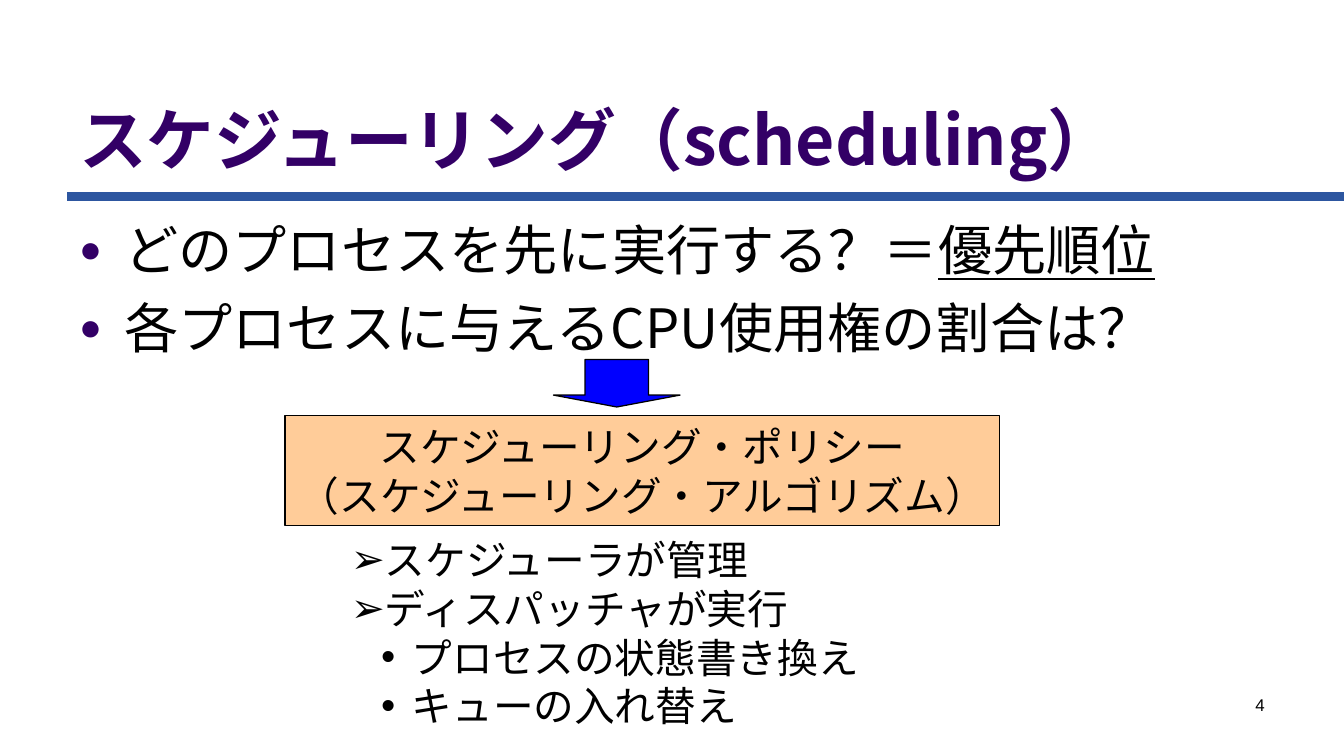
from dataclasses import dataclass

from pptx import Presentation
from pptx.dml.color import RGBColor
from pptx.enum.shapes import MSO_CONNECTOR, MSO_SHAPE
from pptx.enum.text import MSO_ANCHOR, PP_ALIGN
from pptx.oxml.ns import qn
from pptx.util import Cm, Pt
from lxml.etree import SubElement


@dataclass(frozen=True)
class Theme:
    font: str = "Noto Sans CJK JP"
    latin_font: str = "Arial"
    purple: str = "330066"
    black: str = "000000"
    rule: str = "2D56A0"
    peach: str = "FFCC99"
    blue: str = "0000FF"
    title_size: float = 40
    body_size: float = 32
    detail_size: float = 24
    number_size: float = 10
    outline: float = 0.75
    rule_width: float = 5.67


THEME = Theme()


@dataclass(frozen=True)
class Area:
    """Left, top, width and height in centimetres."""
    left: float
    top: float
    width: float
    height: float

    def lengths(self) -> tuple:
        return Cm(self.left), Cm(self.top), Cm(self.width), Cm(self.height)


@dataclass(frozen=True)
class Bullet:
    """Bullet sign, with margin and first-line indent in centimetres."""
    sign: str
    color: str = THEME.black
    percent: int = 100
    margin: float = 0
    indent: float = 0
    level: int = 0


@dataclass(frozen=True)
class Line:
    text: str
    underlined: str = ""
    bullet: Bullet | None = None


TOPIC = Bullet("●", THEME.purple, 70, 0.94, -0.94)
ROLE = Bullet("➢")
TASK = Bullet("•", margin=1.27, indent=-0.64, level=1)


def add_bullet(para, bullet: Bullet) -> None:
    para.level = bullet.level
    properties = para._p.get_or_add_pPr()
    properties.set("marL", str(Cm(bullet.margin)))
    properties.set("indent", str(Cm(bullet.indent)))
    color = SubElement(properties, qn("a:buClr"))
    SubElement(color, qn("a:srgbClr"), val=bullet.color)
    SubElement(properties, qn("a:buSzPct"), val=str(bullet.percent * 1000))
    SubElement(properties, qn("a:buFont"), typeface=THEME.latin_font)
    SubElement(properties, qn("a:buChar"), char=bullet.sign)


def add_span(para, text: str, size: float, font: str, color: str,
             bold: bool, underline: bool) -> None:
    span = para.add_run()
    span.text = text
    span.font.size = Pt(size)
    span.font.name = font
    span.font.bold = bold
    span.font.underline = underline
    span.font.color.rgb = RGBColor.from_string(color)
    SubElement(span._r.get_or_add_rPr(), qn("a:ea"), typeface=font)


def write(box, lines: list[Line], *, size: float, font: str = THEME.font,
          color: str = THEME.black, bold: bool = False, wrap: bool = True,
          align: PP_ALIGN = PP_ALIGN.LEFT, anchor: MSO_ANCHOR = MSO_ANCHOR.TOP,
          space_before: float = 0) -> None:
    frame = box.text_frame
    frame.word_wrap = wrap
    frame.vertical_anchor = anchor
    for index, line in enumerate(lines):
        para = frame.add_paragraph() if index else frame.paragraphs[0]
        para.alignment = align
        para.space_before = Pt(space_before)
        if line.bullet:
            add_bullet(para, line.bullet)
        add_span(para, line.text, size, font, color, bold, False)
        if line.underlined:
            add_span(para, line.underlined, size, font, color, bold, True)


def add_box(page, area: Area):
    return page.shapes.add_textbox(*area.lengths())


def add_filled(page, kind: MSO_SHAPE, area: Area, fill: str):
    shape = page.shapes.add_shape(kind, *area.lengths())
    shape.shadow.inherit = False
    shape.fill.solid()
    shape.fill.fore_color.rgb = RGBColor.from_string(fill)
    shape.line.color.rgb = RGBColor.from_string(THEME.black)
    shape.line.width = Pt(THEME.outline)
    return shape


def add_rule(page, left: float, right: float, top: float) -> None:
    rule = page.shapes.add_connector(
        MSO_CONNECTOR.STRAIGHT, Cm(left), Cm(top), Cm(right), Cm(top))
    rule.line.color.rgb = RGBColor.from_string(THEME.rule)
    rule.line.width = Pt(THEME.rule_width)
    SubElement(rule._element.spPr, qn("a:effectLst"))


def main() -> None:
    deck = Presentation()
    deck.slide_width, deck.slide_height = Cm(28), Cm(15.75)
    page = deck.slides.add_slide(deck.slide_layouts[6])

    # Title over its rule
    add_rule(page, 1.4, 28, 4.09)
    write(add_box(page, Area(1.4, 0.89, 25.2, 2.97)),
          [Line("スケジューリング（scheduling）")], size=THEME.title_size,
          color=THEME.purple, bold=True, anchor=MSO_ANCHOR.BOTTOM)

    # Questions
    write(add_box(page, Area(1.4, 4.39, 25.2, 9.25)),
          [Line("どのプロセスを先に実行する？＝", "優先順位", TOPIC),
           Line("各プロセスに与えるCPU使用権の割合は？", bullet=TOPIC)],
          size=THEME.body_size, space_before=7.5)

    # Policy that answers them
    policy = add_filled(page, MSO_SHAPE.RECTANGLE,
                        Area(5.94, 8.66, 14.88, 2.29), THEME.peach)
    write(policy, [Line("スケジューリング・ポリシー"),
                   Line("（スケジューリング・アルゴリズム）")],
          size=THEME.detail_size, align=PP_ALIGN.CENTER, wrap=False)

    # Who carries it out
    write(add_box(page, Area(7.06, 11.02, 11.38, 4.32)),
          [Line("スケジューラが管理", bullet=ROLE),
           Line("ディスパッチャが実行", bullet=ROLE),
           Line("プロセスの状態書き換え", bullet=TASK),
           Line("キューの入れ替え", bullet=TASK)],
          size=THEME.detail_size, wrap=False)

    # Arrow from the questions to the policy
    arrow = add_filled(page, MSO_SHAPE.DOWN_ARROW,
                       Area(11.53, 7.49, 2.64, 0.99), THEME.blue)
    arrow.adjustments[0], arrow.adjustments[1] = 0.5, 0.25

    # Page number
    write(add_box(page, Area(20.07, 14.35, 6.53, 1.04)), [Line("4")],
          size=THEME.number_size, font=THEME.latin_font, align=PP_ALIGN.RIGHT)

    deck.save("out.pptx")


if __name__ == "__main__":
    main()
